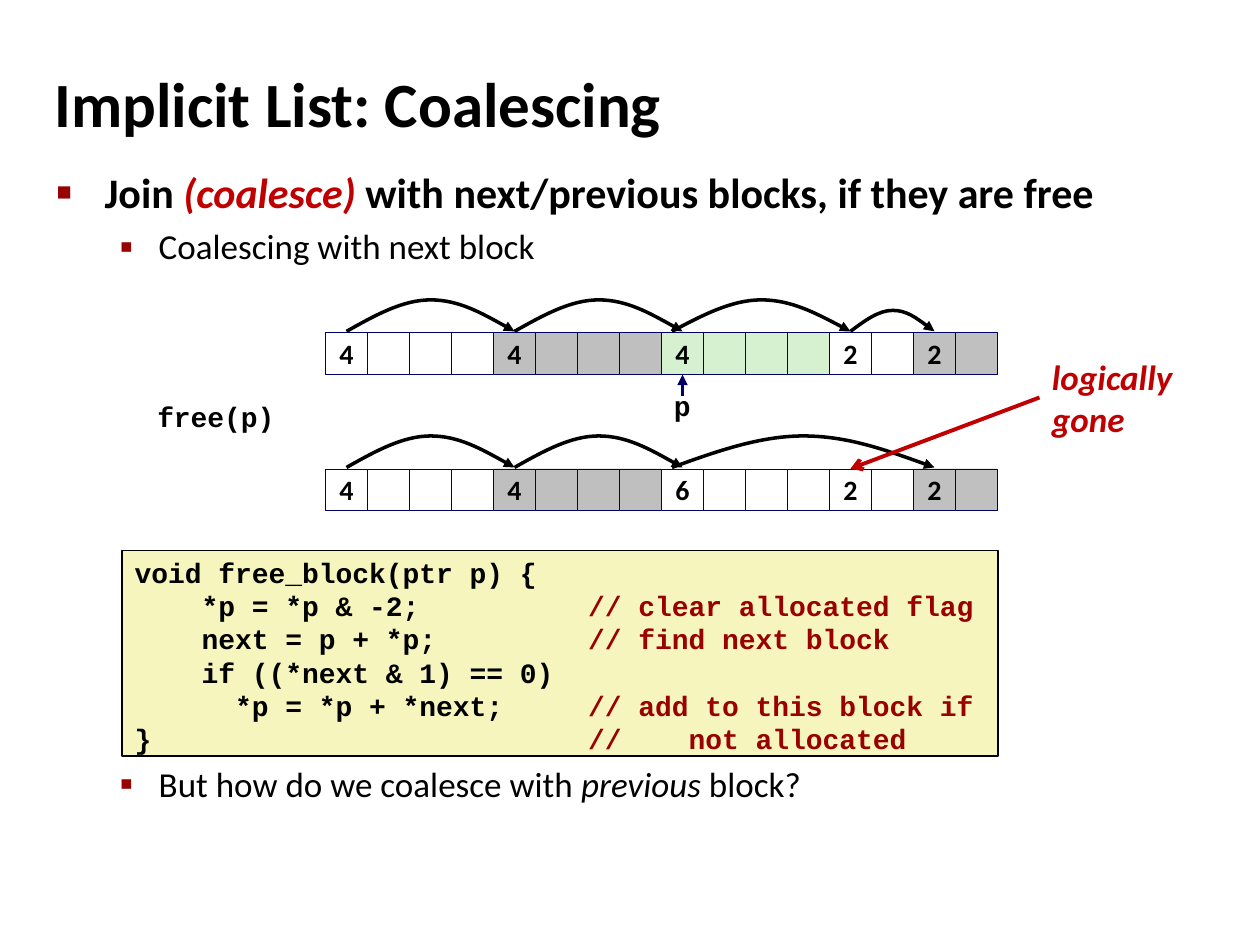
from dataclasses import dataclass

from lxml.etree import SubElement
from pptx import Presentation
from pptx.dml.color import RGBColor
from pptx.enum.shapes import MSO_CONNECTOR as Connector, MSO_SHAPE as Shape
from pptx.enum.text import MSO_ANCHOR as Anchor, MSO_AUTO_SIZE as AutoSize, PP_ALIGN as Align
from pptx.oxml.ns import qn
from pptx.util import Inches, Pt

COLUMNS = 30  # the grid unit is a thirtieth of the slide's width
WIDTH, HEIGHT = Inches(10), Inches(7.5)
FIRST_CELL = 7.75
BLACK, NAVY, RED, DARK_RED = "000000", "000066", "C00000", "990000"
WHITE, GREY, LIGHT_GREY, GREEN, CREAM = "FFFFFF", "BFBFBF", "C0C0C0", "D5F1CF", "F6F5BD"

HEADING = {"name": "Calibri", "size": Pt(36), "bold": True}
POINT = {"name": "Calibri", "size": Pt(24), "bold": True}
SUBPOINT = {"name": "Calibri", "size": Pt(20), "bold": False}
NUMBER = {"name": "Calibri", "size": Pt(16), "bold": True}
CODE = {"name": "Courier New", "size": Pt(16), "bold": True}
REMARK = {"name": "Calibri", "size": Pt(20), "bold": True, "italic": True}


@dataclass
class Block:
    size: int
    fill: str
    label: str


@dataclass
class Arc:
    start: float
    end: float
    rise: float = 0.75


@dataclass
class Heap:
    top: float
    blocks: list[Block]
    arcs: list[Arc]


@dataclass
class Bullet:
    runs: list[tuple[str, dict]]
    level: int
    symbol: str
    percent: int
    margin: float
    hanging: float
    spacing: float
    before: float
    look: dict


HEAPS = [
    Heap(7.92,
         [Block(4, WHITE, "4"), Block(4, GREY, "4"), Block(4, GREEN, "4"),
          Block(2, WHITE, "2"), Block(2, LIGHT_GREY, "2")],
         [Arc(0.5, 4.5), Arc(4.5, 8.5), Arc(8.25, 12.5), Arc(12.5, 14.5, 0.5)]),
    Heap(11.16,
         [Block(4, WHITE, "4"), Block(4, GREY, "4"), Block(4, WHITE, "6"),
          Block(2, WHITE, "2"), Block(2, LIGHT_GREY, "2")],
         [Arc(0.5, 4.5), Arc(4.5, 8.5), Arc(8.25, 14.5)]),
]

BULLETS = [
    Bullet([("Join ", {}), ("(coalesce) ", {"italic": True, "color": RED}),
            ("with next/previous blocks, if they are free", {})],
           0, "■", 60, 0.38, 0.38, 0.83, 0, POINT),
    Bullet([("Coalescing with next block", {})],
           1, "▪", 110, 0.81, 0.31, 0.88, 7.5, SUBPOINT),
    Bullet([("But how do we coalesce with ", {}), ("previous", {"italic": True}),
            (" block?", {})],
           1, "▪", 110, 0.81, 0.31, 0.88, 286, SUBPOINT),
]

CODE_LINES = [
    ("void free_block(ptr p) {", ""),
    ("    *p = *p & -2;", "// clear allocated flag"),
    ("    next = p + *p;", "// find next block"),
    ("    if ((*next & 1) == 0)", ""),
    ("      *p = *p + *next;", "// add to this block if"),
    ("}", "//    not allocated"),
]


def grid(*units: float) -> list[int]:
    return [round(unit * WIDTH / COLUMNS) for unit in units]


def rgb(color: str) -> RGBColor:
    return RGBColor.from_string(color)


def add_run(paragraph, text: str, look: dict, color: str = BLACK) -> None:
    run = paragraph.add_run()
    run.text = text
    for key, value in look.items():
        setattr(run.font, key, value)
    run.font.color.rgb = rgb(color)


def place(shape, left: float, top: float, width: float, height: float) -> None:
    for key, value in zip(("left", "top", "width", "height"), grid(left, top, width, height)):
        setattr(shape, key, value)


def add_box(shapes, area: tuple, fill: str, border: str, weight: float):
    box = shapes.add_shape(Shape.RECTANGLE, *grid(*area))
    box.shadow.inherit = False
    box.fill.solid()
    box.fill.fore_color.rgb = rgb(fill)
    box.line.color.rgb = rgb(border)
    box.line.width = Pt(weight)
    return box


def add_label(shapes, area: tuple, lines: list[str], look: dict, color: str = BLACK,
              spacing: float = 1.0):
    label = shapes.add_textbox(*grid(*area))
    frame = label.text_frame
    frame.word_wrap = False
    frame.auto_size = AutoSize.SHAPE_TO_FIT_TEXT
    for index, line in enumerate(lines):
        paragraph = frame.add_paragraph() if index else frame.paragraphs[0]
        paragraph.line_spacing = spacing
        add_run(paragraph, line, look, color)
    return label


def set_arrow(line, color: str, weight: float, head: str) -> None:
    line.color.rgb = rgb(color)
    line.width = Pt(weight)
    SubElement(line._get_or_add_ln(), qn("a:tailEnd"), type=head)


def add_arrow(shapes, start: tuple, end: tuple, color: str, weight: float, head: str):
    arrow = shapes.add_connector(Connector.STRAIGHT, *grid(*start, *end))
    set_arrow(arrow.line, color, weight, head)
    SubElement(arrow._element.spPr, qn("a:effectLst"))
    return arrow


def add_arc(shapes, arc: Arc, base: float) -> None:
    left, right, bottom, top = grid(FIRST_CELL + arc.start, FIRST_CELL + arc.end,
                                    base, base - arc.rise)
    width, height = right - left, bottom - top
    builder = shapes.build_freeform(left, bottom)
    builder.add_line_segments([(left + width // 2, top), (right, bottom)], close=False)
    shape = builder.convert_to_shape()
    shape.shadow.inherit = False
    shape.fill.background()
    set_arrow(shape.line, BLACK, 2, "triangle")
    # Bend both straight halves; points are sixths of the width and shares of the height
    curves = [((1, 0.5), (2, 0), (3, 0)), ((4, 0), (5, 0.5), (6, 1))]
    for straight, points in zip(list(shape._element.iter(qn("a:lnTo"))), curves):
        straight.clear()
        straight.tag = qn("a:cubicBezTo")
        for x, y in points:
            SubElement(straight, qn("a:pt"), x=str(width * x // 6), y=str(round(height * y)))


def add_heap(shapes, heap: Heap) -> list:
    cells = []
    for block in heap.blocks:
        for offset in range(block.size):
            area = (FIRST_CELL + len(cells), heap.top, 1, 1)
            cell = add_box(shapes, area, block.fill, NAVY, 0.25)
            if offset == 0:
                frame = cell.text_frame
                frame.word_wrap = False
                frame.vertical_anchor = Anchor.MIDDLE
                frame.paragraphs[0].alignment = Align.CENTER
                add_run(frame.paragraphs[0], block.label, NUMBER)
            cells.append(cell)
    for arc in heap.arcs:
        add_arc(shapes, arc, heap.top - 0.03)
    return cells


def fill_bullet(paragraph, bullet: Bullet) -> None:
    paragraph.level = bullet.level
    props = paragraph._p.get_or_add_pPr()
    props.set("marL", str(Inches(bullet.margin)))
    props.set("indent", str(-Inches(bullet.hanging)))
    SubElement(SubElement(props, qn("a:buClr")), qn("a:srgbClr"), val=DARK_RED)
    SubElement(props, qn("a:buSzPct"), val=str(bullet.percent * 1000))
    SubElement(props, qn("a:buChar"), char=bullet.symbol)
    paragraph.line_spacing = bullet.spacing
    paragraph.space_before = Pt(bullet.before)
    for text, change in bullet.runs:
        look = {**bullet.look, **change}
        add_run(paragraph, text, look, look.pop("color", BLACK))


def add_code(shapes) -> None:
    frame = add_box(shapes, (2.91, 13.11, 20.85, 4.89), CREAM, BLACK, 1).text_frame
    frame.word_wrap = True
    frame.vertical_anchor = Anchor.TOP
    for index, (code, comment) in enumerate(CODE_LINES):
        paragraph = frame.add_paragraph() if index else frame.paragraphs[0]
        tabs = SubElement(paragraph._p.get_or_add_pPr(), qn("a:tabLst"))
        SubElement(tabs, qn("a:tab"), pos=str(Inches(3.6)), algn="l")
        paragraph.alignment = Align.LEFT
        paragraph.line_spacing = 0.99
        add_run(paragraph, code, CODE)
        if comment:
            add_run(paragraph, "\t" + comment, CODE, DARK_RED)


def main() -> None:
    deck = Presentation()
    deck.slide_width, deck.slide_height = WIDTH, HEIGHT
    slide = deck.slides.add_slide(deck.slide_layouts[1])
    shapes = slide.shapes

    # Title and list
    title, body = shapes.title, slide.placeholders[1]
    place(title, 1, 1.5, 22.2, 1.89)
    place(body, 1.05, 4.02, 27.27, 18)
    for holder in (title, body):
        holder.text_frame.auto_size = AutoSize.NONE
    title.text_frame.vertical_anchor = Anchor.MIDDLE
    heading = title.text_frame.paragraphs[0]
    heading.alignment = Align.LEFT
    add_run(heading, "Implicit List: Coalescing", HEADING)
    for index, bullet in enumerate(BULLETS):
        frame = body.text_frame
        fill_bullet(frame.add_paragraph() if index else frame.paragraphs[0], bullet)

    # Code and the heap before and after the call
    add_code(shapes)
    before, after = [add_heap(shapes, heap) for heap in HEAPS]

    # Call and pointer
    add_label(shapes, (3.45, 9.42, 3.42, 1.08), ["free(p)"], CODE, spacing=0.94)
    add_label(shapes, (15.75, 9.18, 1, 1.08), ["p"], CODE, spacing=0.94)
    pointer = add_arrow(shapes, (16.25, 9.42), (16.25, 8.92), NAVY, 2, "triangle")
    pointer.end_connect(before[8], 2)

    # Remark on the absorbed block
    remark = add_label(shapes, (24.75, 8.31, 3.48, 2.31), ["logically", "gone"], REMARK, RED)
    gone = add_arrow(shapes, (24.75, 9.47), (20.25, 11.16), RED, 2.25, "arrow")
    gone.begin_connect(remark, 1)
    gone.end_connect(after[12], 0)

    deck.save("out.pptx")


if __name__ == "__main__":
    main()
